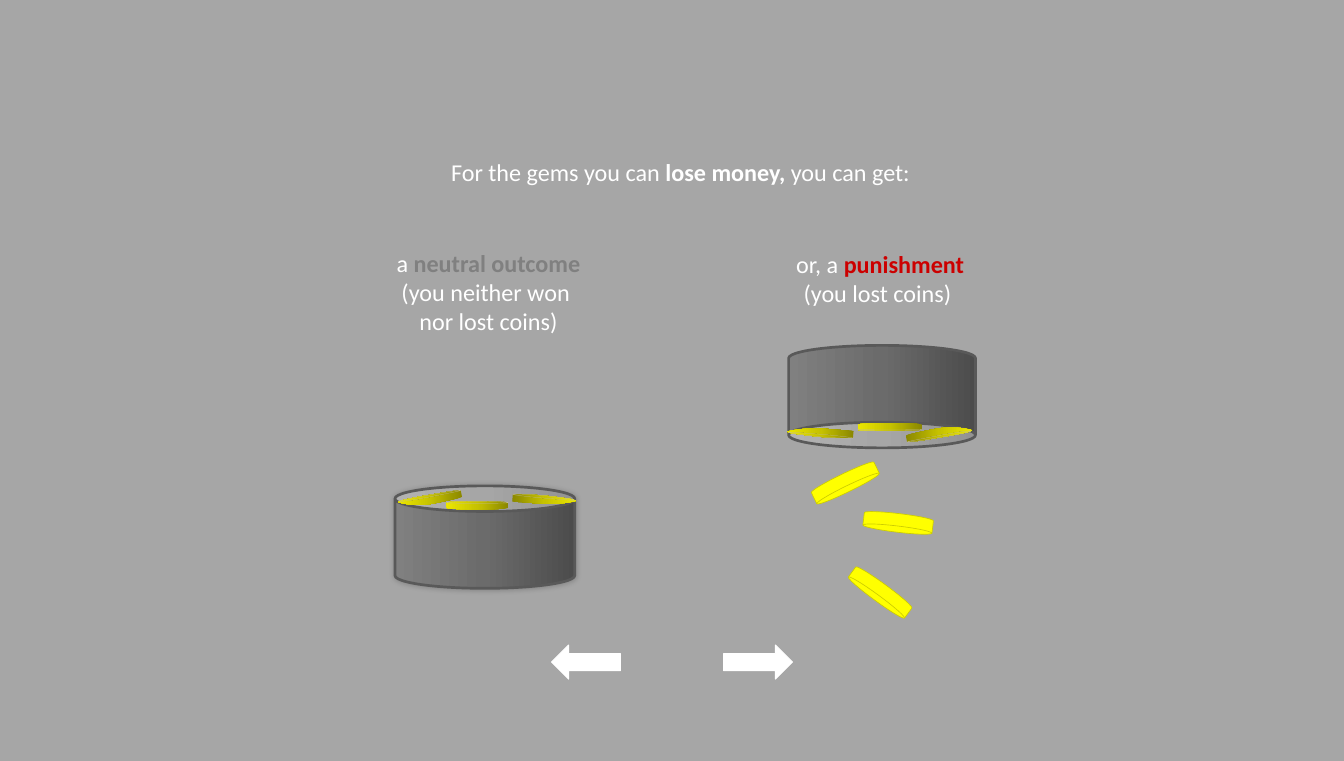
"""Build the slide on losing money: neutral outcome versus punishment."""
import copy
from pptx import Presentation, util as u
from pptx.dml.color import RGBColor
from pptx.enum import shapes, text
from pptx.oxml import parse_xml
from pptx.oxml.ns import nsdecls, qn

COLORS = {
    "bg": "A6A6A6", "white": "FFFFFF", "neutral": "808080", "punish": "CC0000",
    "can_line": "595959", "coin": "FFFF00", "coin_line": "CCCC00", "rim": "C4BD97",
}
CAN_STOPS = ("4C4C4C", "6B6B6B", "808080")
COIN_STOPS = ("8B8800", "C6C200", "EBE600")

TEXTS = [
    ((5.32, 3.77, 4.52, 3.37), 0.09, "TOP", [
        [("a ", "white", False), ("neutral outcome", "neutral", True)],
        [("(you neither won ", "white", False)],
        [("nor lost coins)", "white", False)]]),
    ((11.4, 3.78, 4.52, 3.37), 0.09, "TOP", [
        [("or, a ", "white", False), ("punishment", "punish", True)],
        [("(you lost coins) ", "white", False)]]),
    ((0.26, 0.55, 20.6, 3.33), 1.0, "MIDDLE", [
        [("For the gems you can", "white", False), (" lose money, ", "white", True),
         ("you can get:", "white", False)]]),
]
FULL_CAN = (6.13, 7.54, 2.79, 1.59)
EMPTIED_CAN = (12.24, 5.36, 2.9, 1.59)
FALLING_COINS = [(13.12, 9.05, 216.2), (13.4, 7.97, 186.8), (12.58, 7.35, 154.1)]
ARROWS = [(11.23, 0), (8.56, 180)]

# Each coin: near edge, outer edge and far edge as cubic curves inside the full can.
COINS = [
    {"angles": (180, 0),
     "near": [(6.2, 7.78), (6.21, 7.79), (6.42, 7.76), (6.68, 7.71), (6.94, 7.66), (7.15, 7.62), (7.15, 7.61)],
     "outer": [(7.17, 7.71), (7.17, 7.72), (6.96, 7.77), (6.7, 7.82), (6.44, 7.87), (6.18, 7.8), (6.18, 7.79)],
     "far": [(7.15, 7.61), (7.15, 7.6), (6.94, 7.63), (6.67, 7.68), (6.41, 7.72), (6.2, 7.77), (6.2, 7.78)]},
    {"angles": (0, 180),
     "near": [(7.96, 7.67), (7.96, 7.68), (8.18, 7.71), (8.44, 7.73), (8.71, 7.75), (8.92, 7.77), (8.92, 7.76)],
     "outer": [(8.94, 7.77), (8.94, 7.78), (8.66, 7.84), (8.4, 7.82), (8.13, 7.79), (7.95, 7.79), (7.95, 7.78)],
     "far": [(8.92, 7.76), (8.93, 7.75), (8.71, 7.72), (8.45, 7.69), (8.18, 7.67), (7.97, 7.66), (7.96, 7.67)]},
    {"angles": (180, 180),
     "near": [(6.93, 7.8), (6.93, 7.81), (7.14, 7.81), (7.41, 7.81), (7.68, 7.81), (7.89, 7.81), (7.89, 7.8)],
     "outer": [(7.89, 7.88), (7.89, 7.89), (7.68, 7.91), (7.41, 7.91), (7.14, 7.91), (6.93, 7.89), (6.93, 7.88)],
     "far": [(7.89, 7.8), (7.89, 7.79), (7.68, 7.78), (7.41, 7.78), (7.14, 7.78), (6.93, 7.79), (6.93, 7.8)]},
]


def rgb(name):
    return RGBColor.from_string(COLORS.get(name, name))


def inches(values):
    return [u.Inches(v) for v in values]


def paint(sp, fill, line=None, width=0, angle=0):
    sp.shadow.inherit = False
    if isinstance(fill, str):
        sp.fill.solid()
        sp.fill.fore_color.rgb = rgb(fill)
    else:
        sp.fill.gradient()
        sp.fill.gradient_angle = angle
        stops = next(sp._element.spPr.iter(qn("a:gsLst")))
        stops.insert(1, copy.deepcopy(stops[0]))
        for i, (stop, color) in enumerate(zip(sp.fill.gradient_stops, fill)):
            stop.color.rgb = rgb(color)
            stop.position = i / 2
    if line:
        sp.line.color.rgb = rgb(line)
        sp.line.width = u.Pt(width)
    else:
        sp.line.fill.background()


def add_preset(group, kind, box, rotation, *look):
    sp = group.shapes.add_shape(kind, *inches(box))
    sp.rotation = rotation
    paint(sp, *look)
    return sp


def curve(points, steps=8):
    """Return points along a chain of cubic curves."""
    out = [points[0]]
    for k in range(0, len(points) - 1, 3):
        for t in (i / steps for i in range(1, steps + 1)):
            weights = ((1 - t) ** 3, 3 * t * (1 - t) ** 2, 3 * t * t * (1 - t), t ** 3)
            out.append(tuple(sum(w * pt[axis] for w, pt in zip(weights, points[k:k + 4]))
                             for axis in (0, 1)))
    return out


def turn(point):
    """Carry a point of the full can over to the upside-down can."""
    left, width = FULL_CAN[0], FULL_CAN[2]
    x = EMPTIED_CAN[0] + EMPTIED_CAN[2] * (1 - (point[0] - left) / width)
    return x, 14.47 - point[1]


def add_coins(group, turned):
    for coin in COINS:
        for edge, line in (("outer", None), ("far", "rim")):
            outline = curve(coin["near"]) + curve(coin[edge])
            if turned:
                outline = [turn(pt) for pt in outline]
            points = [inches(pt) for pt in outline]
            builder = group.shapes.build_freeform(*points[0])
            builder.add_line_segments(points[1:], close=True)
            paint(builder.convert_to_shape(), COIN_STOPS, line, 0.25, coin["angles"][turned])


def add_text(box, top, anchor, paragraphs):
    tf = s.shapes.add_textbox(*inches(box)).text_frame
    frame = {"word_wrap": True, "vertical_anchor": text.MSO_ANCHOR[anchor],
             "margin_left": u.Inches(0.19), "margin_right": u.Inches(0.19),
             "margin_top": u.Inches(top), "margin_bottom": u.Inches(0.09)}
    for name, value in frame.items():
        setattr(tf, name, value)
    for i, runs in enumerate(paragraphs):
        p = tf.add_paragraph() if i else tf.paragraphs[0]
        p.alignment = text.PP_ALIGN.CENTER
        for words, color, bold in runs:
            r = p.add_run()
            r.text = words
            for name, value in {"name": "Calibri", "size": u.Pt(27), "bold": bold}.items():
                setattr(r.font, name, value)
            r.font.color.rgb = rgb(color)


prs = Presentation()
prs.slide_width, prs.slide_height = inches((20.86, 11.81))
s = prs.slides.add_slide(prs.slide_layouts[6])
s.background.fill.solid()
s.background.fill.fore_color.rgb = rgb("bg")
preset = shapes.MSO_SHAPE

for part in TEXTS:
    add_text(*part)

punishment = s.shapes.add_group_shape()
add_preset(punishment, preset.CAN, EMPTIED_CAN, 180, CAN_STOPS, "can_line", 3, 0)
add_coins(punishment, True)
for x, y, rotation in FALLING_COINS:
    add_preset(punishment, preset.FLOWCHART_MAGNETIC_DISK, (x, y, 1.08, 0.29), rotation,
               "coin", "coin_line", 0.75)

neutral = s.shapes.add_group_shape()
can = add_preset(neutral, preset.CAN, FULL_CAN, 0, CAN_STOPS, "can_line", 3, 180)
can._element.spPr.find(qn("a:effectLst")).append(parse_xml(
    f'<a:outerShdw {nsdecls("a")} blurRad="{u.Pt(6)}" dist="0" dir="18900000">'
    '<a:srgbClr val="000000"><a:alpha val="20000"/></a:srgbClr></a:outerShdw>'))
add_coins(neutral, False)

arrows = s.shapes.add_group_shape()
for x, rotation in ARROWS:
    add_preset(arrows, preset.RIGHT_ARROW, (x, 10.01, 1.07, 0.53), rotation, "white", "white", 1)

prs.save("out.pptx")
